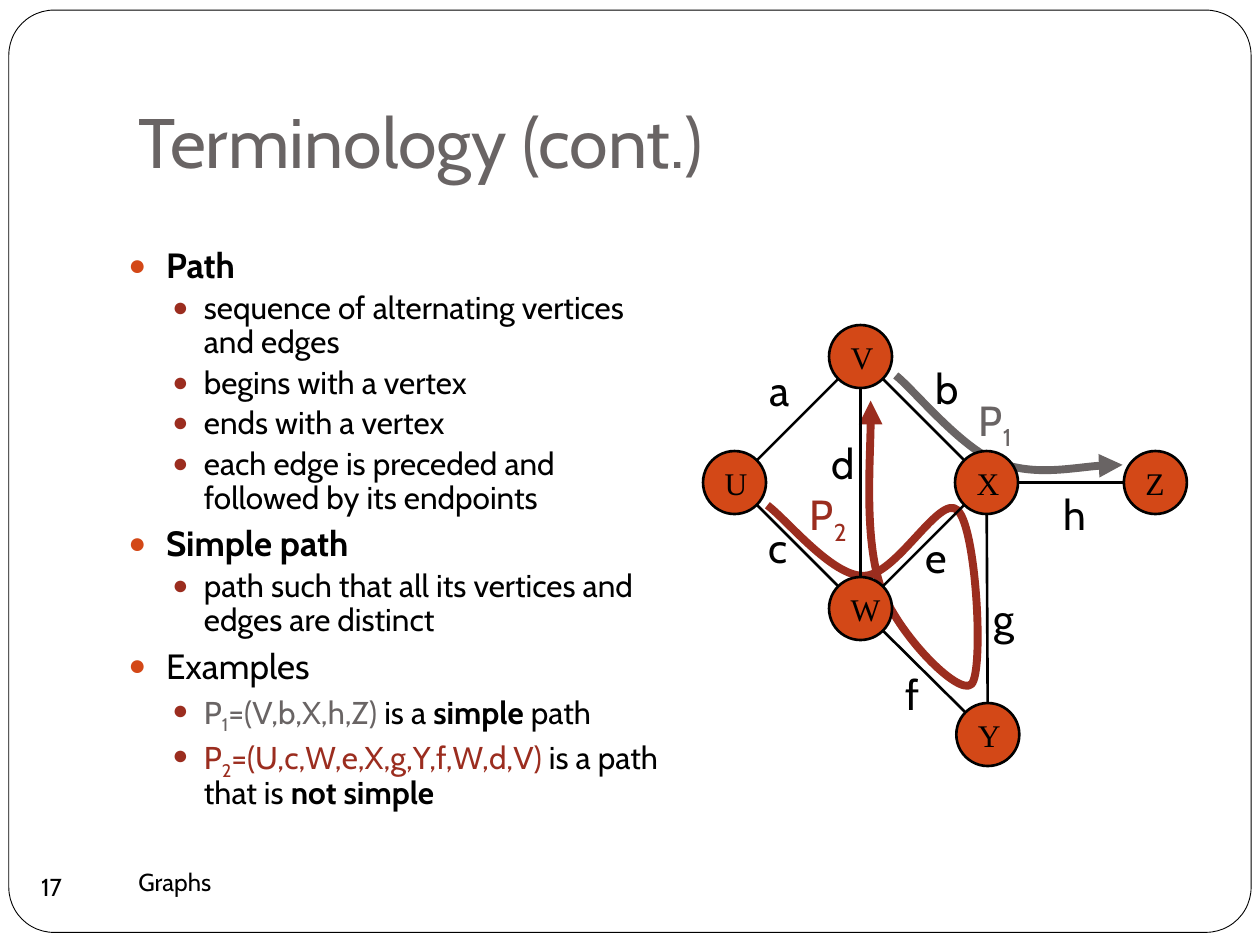
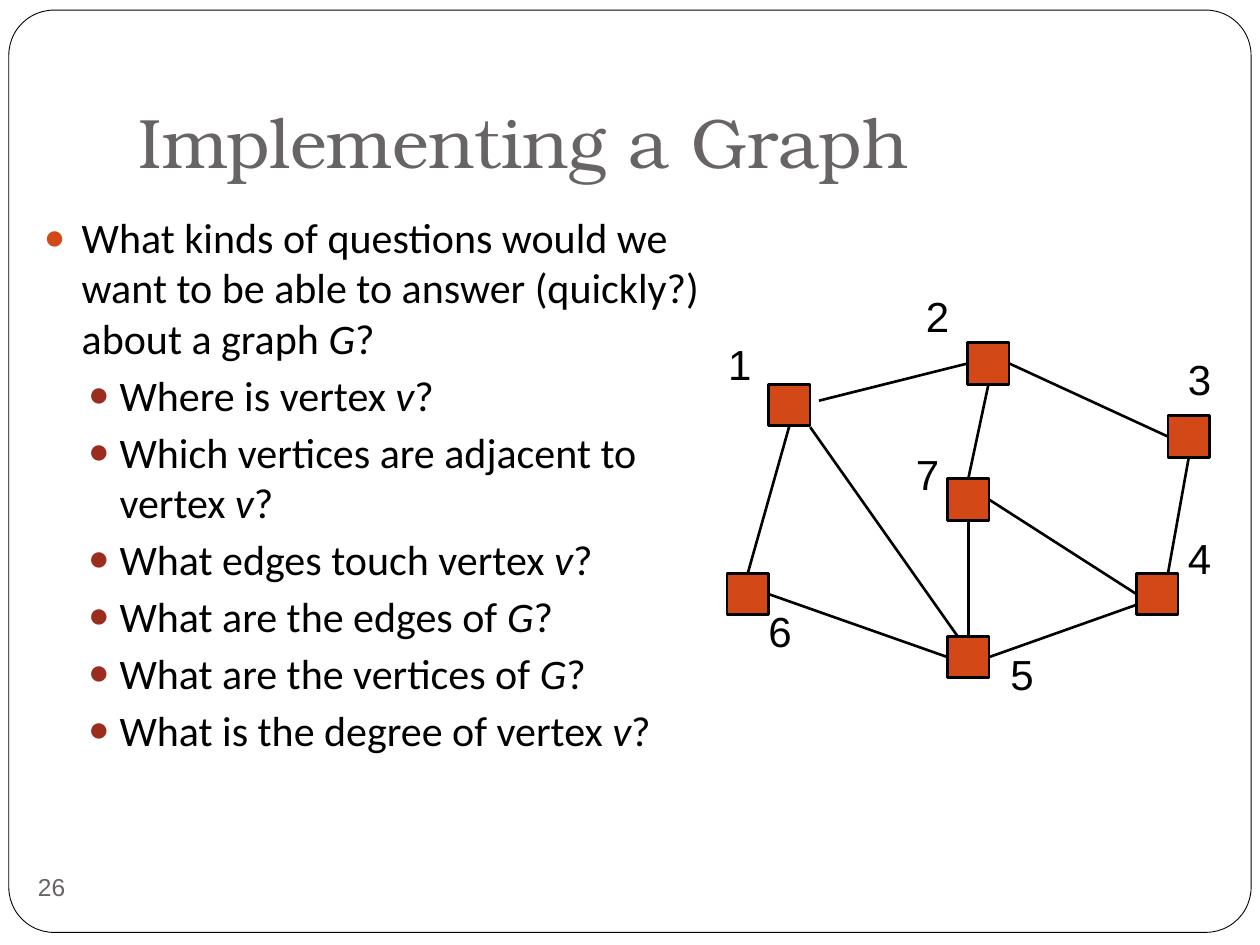
from math import hypot
from typing import NamedTuple, Optional

from lxml import etree
from pptx import Presentation
from pptx.dml.color import RGBColor
from pptx.enum.shapes import MSO_CONNECTOR, MSO_SHAPE
from pptx.enum.text import MSO_ANCHOR, MSO_AUTO_SIZE, PP_ALIGN
from pptx.oxml.ns import qn
from pptx.util import Inches, Pt

BLACK = RGBColor(0x00, 0x00, 0x00)
WHITE = RGBColor(0xFF, 0xFF, 0xFF)
GREY = RGBColor(0x69, 0x64, 0x64)
ORANGE = RGBColor(0xD3, 0x48, 0x17)
RED = RGBColor(0x9B, 0x2D, 0x1F)

OVAL, RECT, ROUND_RECT = MSO_SHAPE.OVAL, MSO_SHAPE.RECTANGLE, MSO_SHAPE.ROUNDED_RECTANGLE
STRAIGHT = MSO_CONNECTOR.STRAIGHT
TOP, MIDDLE, BOTTOM = MSO_ANCHOR.TOP, MSO_ANCHOR.MIDDLE, MSO_ANCHOR.BOTTOM
LEFT, CENTER = PP_ALIGN.LEFT, PP_ALIGN.CENTER
FIT_SHAPE = MSO_AUTO_SIZE.SHAPE_TO_FIT_TEXT
SIDE_TOP, SIDE_LEFT, SIDE_BOTTOM, SIDE_RIGHT = range(4)
RADIUS, SQUARE = 0.25, 0.33


class Run(NamedTuple):
    text: str
    bold: bool = False
    italic: bool = False
    sub: bool = False
    color: RGBColor = BLACK


class Style(NamedTuple):
    font: str
    size: float
    color: Optional[RGBColor] = None


class Level(NamedTuple):
    margin: float
    hanging: float
    before: float
    bullet: RGBColor


class Item(NamedTuple):
    level: int
    runs: list


class Label(NamedTuple):
    runs: list
    x: float
    y: float
    w: float = 0.39


class Curve(NamedTuple):
    color: RGBColor
    arrow: str
    points: list


LEVELS = [Level(0.3, 0.3, 5.8, ORANGE), Level(0.6, 0.25, 3.7, RED)]


# Text
def fill_paragraph(p, runs: list, style: Style) -> None:
    for run in runs:
        r = p.add_run()
        r.text = run.text
        fmt = {"name": style.font, "size": Pt(style.size),
               "bold": run.bold, "italic": run.italic}
        for name, value in fmt.items():
            setattr(r.font, name, value)
        r.font.color.rgb = style.color or run.color
        if run.sub:
            r.font._element.set("baseline", "-25000")


def add_text(s, box: tuple, runs: list, style: Style, anchor=TOP, align=LEFT,
             wrap: bool = True, fit: bool = False, insets=(0.1, 0.05, 0.1, 0.05)):
    tf = s.shapes.add_textbox(*map(Inches, box)).text_frame
    tf.word_wrap, tf.vertical_anchor = wrap, anchor
    if fit:
        tf.auto_size = FIT_SHAPE
    for side, inset in zip(("left", "top", "right", "bottom"), insets):
        setattr(tf, f"margin_{side}", Inches(inset))
    p = tf.paragraphs[0]
    p.alignment = align
    fill_paragraph(p, runs, style)
    return tf


def add_bullet(p, level: Level) -> None:
    pPr = p._p.get_or_add_pPr()
    pPr.set("marL", str(Inches(level.margin)))
    pPr.set("indent", str(-Inches(level.hanging)))
    color = etree.SubElement(pPr, qn("a:buClr"))
    etree.SubElement(color, qn("a:srgbClr"), val=str(level.bullet))
    etree.SubElement(pPr, qn("a:buSzPct"), val="85000")
    etree.SubElement(pPr, qn("a:buFont"), typeface="Arial")
    etree.SubElement(pPr, qn("a:buChar"), char="●")


def add_body(s, box: tuple, items: list, font: str, sizes: tuple, spacing: float) -> None:
    tf = add_text(s, box, [], Style(font, sizes[0]))
    for i, item in enumerate(items):
        p = tf.add_paragraph() if i else tf.paragraphs[0]
        level = LEVELS[item.level]
        p.level = item.level
        add_bullet(p, level)
        p.line_spacing = spacing
        p.space_before = Pt(level.before if i else 0)
        fill_paragraph(p, item.runs, Style(font, sizes[item.level]))


def add_labels(s, labels: list, font: str) -> None:
    for label in labels:
        add_text(s, (label.x, label.y, label.w, 0.5), label.runs, Style(font, 24),
                 wrap=False, fit=True)


# Shapes and lines
def add_shape(s, kind, box: tuple, fill: RGBColor, width: float):
    sp = s.shapes.add_shape(kind, *map(Inches, box))
    sp.shadow.inherit = False
    sp.fill.solid()
    sp.fill.fore_color.rgb = fill
    sp.line.color.rgb = BLACK
    sp.line.width = Pt(width)
    return sp


def add_line(s, start: tuple, end: tuple):
    line = s.shapes.add_connector(STRAIGHT, *map(Inches, start + end))
    line.line.color.rgb = BLACK
    line.line.width = Pt(1.5)
    etree.SubElement(line._element.spPr, qn("a:effectLst"))
    return line


def add_curve(s, curve: Curve) -> None:
    """Draw a chain of cubic curves: a start, then three points for each part."""
    points = [(Inches(x), Inches(y)) for x, y in curve.points]
    builder = s.shapes.build_freeform(*points[0])
    builder.add_line_segments(points[1:], close=False)
    sp = builder.convert_to_shape()
    sp.shadow.inherit = False
    sp.fill.background()
    sp.line.color.rgb = curve.color
    sp.line.width = Pt(4.5)
    etree.SubElement(sp.line._get_or_add_ln(), qn(f"a:{curve.arrow}"), type="triangle")
    segments = list(sp._element.iter(qn("a:lnTo")))
    outline = segments[0].getparent()
    for i in range(0, len(segments), 3):
        cubic = etree.SubElement(outline, qn("a:cubicBezTo"))
        for segment in segments[i:i + 3]:
            cubic.append(segment[0])
            outline.remove(segment)


# Parts shared by the slides
def add_base(prs, title: str, title_font: str, number: str, number_style: Style):
    s = prs.slides.add_slide(prs.slide_layouts[6])
    frame = add_shape(s, ROUND_RECT, (0.07, 0.08, 9.86, 7.32), WHITE, 0.5)
    frame.adjustments[0] = 0.049
    add_text(s, (1, 0.3, 8.5, 1.25), [Run(title)], Style(title_font, 40, GREY),
             BOTTOM, insets=(0.1, 0.05, 0.1, 0.1))
    add_text(s, (0.16, 6.79, 0.5, 0.5), [Run(number)], number_style, MIDDLE, CENTER,
             wrap=False, insets=(0, 0, 0, 0))
    return s


# Terminology slide
PATH_ITEMS = [
    Item(0, [Run("Path", bold=True)]),
    Item(1, [Run("sequence of alternating vertices and edges")]),
    Item(1, [Run("begins with a vertex")]),
    Item(1, [Run("ends with a vertex")]),
    Item(1, [Run("each edge is preceded and followed by its endpoints")]),
    Item(0, [Run("Simple path", bold=True)]),
    Item(1, [Run("path such that all its vertices and edges are distinct")]),
    Item(0, [Run("Examples")]),
    Item(1, [Run("P", color=GREY), Run("1", sub=True, color=GREY),
             Run("=(V,b,X,h,Z)", color=GREY), Run(" is a "),
             Run("simple", bold=True), Run(" path")]),
    Item(1, [Run("P", color=RED), Run("2", sub=True, color=RED),
             Run("=(U,c,W,e,X,g,Y,f,W,d,V)", color=RED),
             Run(" is a path that is "), Run("not simple", bold=True)]),
]
CIRCLES = {"X": (7.83, 3.83), "U": (5.83, 3.83), "V": (6.83, 2.83),
           "W": (6.83, 4.83), "Z": (9.17, 3.83), "Y": (7.84, 5.83)}
CIRCLE_EDGES = ["VU", "WU", "WX", "XZ", "VX", "VW", "WY", "XY"]
CURVES = [
    Curve(RED, "headEnd", [
        (6.91, 3.18), (6.92, 3.42), (6.86, 4.28), (6.99, 4.66), (7.12, 5.03),
        (7.61, 5.53), (7.71, 5.43), (7.81, 5.33), (7.75, 4.19), (7.6, 4.05),
        (7.46, 3.91), (7.11, 4.58), (6.85, 4.57), (6.6, 4.57), (6.25, 4.13), (6.09, 4.01)]),
    Curve(GREY, "tailEnd", [
        (7.11, 2.98), (7.25, 3.09), (7.62, 3.55), (7.92, 3.67),
        (8.22, 3.78), (8.7, 3.68), (8.91, 3.69)]),
]
EDGE_LABELS = [
    Label([Run("a")], 6.01, 2.84, 0.38), Label([Run("c")], 6, 4.09, 0.36),
    Label([Run("b")], 7.33, 2.83), Label([Run("e")], 7.25, 4.17, 0.38),
    Label([Run("d")], 6.5, 3.42), Label([Run("f")], 7.09, 5.26, 0.31),
    Label([Run("g")], 7.79, 4.65), Label([Run("h")], 8.34, 3.83),
    Label([Run("P", color=GREY), Run("1", sub=True, color=GREY)], 7.67, 3.08, 0.51),
    Label([Run("P", color=RED), Run("2", sub=True, color=RED)], 6.33, 3.83, 0.51),
]


def rim_point(center: tuple, toward: tuple) -> tuple:
    dx, dy = toward[0] - center[0], toward[1] - center[1]
    scale = RADIUS / hypot(dx, dy)
    return center[0] + dx * scale, center[1] + dy * scale


def add_terminology(prs) -> None:
    s = add_base(prs, "Terminology (cont.)", "Cabin", "17", Style("Cabin", 14))
    add_text(s, (1, 6.75, 4.33, 0.5), [Run("Graphs")], Style("Cabin", 14), MIDDLE)
    add_body(s, (0.92, 1.92, 4.5, 5.3), PATH_ITEMS, "Cabin", (20, 18), 0.9)
    for curve in CURVES:
        add_curve(s, curve)
    for name, (x, y) in CIRCLES.items():
        box = (x - RADIUS, y - RADIUS, 2 * RADIUS, 2 * RADIUS)
        tf = add_shape(s, OVAL, box, ORANGE, 1.5).text_frame
        tf.word_wrap, tf.vertical_anchor = False, MIDDLE
        tf.paragraphs[0].alignment = LEFT
        fill_paragraph(tf.paragraphs[0], [Run(name)], Style("Times New Roman", 18))
    for a, b in CIRCLE_EDGES:
        start, end = CIRCLES[a], CIRCLES[b]
        add_line(s, rim_point(start, end), rim_point(end, start))
    add_labels(s, EDGE_LABELS, "Cabin")


# Implementation slide
QUESTIONS = [
    (0, "What kinds of questions would we want to be able to answer (quickly?) about a graph ", "G"),
    (1, "Where is vertex ", "v"),
    (1, "Which vertices are adjacent to vertex ", "v"),
    (1, "What edges touch vertex ", "v"),
    (1, "What are the edges of ", "G"),
    (1, "What are the vertices of ", "G"),
    (1, "What is the degree of vertex ", "v"),
]
SQUARES = {"1": (6.1, 3.05), "6": (5.77, 4.55), "5": (7.52, 5.05), "4": (9.02, 4.55),
           "7": (7.52, 3.8), "2": (7.68, 2.72), "3": (9.27, 3.3)}
# An edge end is a square with its side, or a free point
SQUARE_EDGES = [
    ((6.5, 3.18), ("2", SIDE_LEFT)),
    (("2", SIDE_BOTTOM), ("7", SIDE_TOP)),
    (("2", SIDE_RIGHT), ("3", SIDE_LEFT)),
    (("7", SIDE_RIGHT), ("4", SIDE_LEFT)),
    (("3", SIDE_BOTTOM), (9.27, 4.55)),
    (("7", SIDE_BOTTOM), ("5", SIDE_TOP)),
    (("5", SIDE_RIGHT), (9.02, 4.8)),
    (("6", SIDE_RIGHT), ("5", SIDE_LEFT)),
    (("1", SIDE_BOTTOM), ("6", SIDE_TOP)),
    ((6.43, 3.39), (7.6, 5.05)),
]
SQUARE_LABELS = [Label([Run(str(n))], x, y) for n, (x, y) in enumerate([
    (5.68, 2.64), (7.25, 2.26), (9.33, 2.76), (9.33, 4.18),
    (7.92, 5.1), (6, 4.76), (7.17, 3.51)], start=1)]


def add_implementation(prs) -> None:
    s = add_base(prs, "Implementing a Graph", "TeX Gyre Bonum", "26", Style("Arial", 14, GREY))
    items = [Item(level, [Run(text), Run(symbol, italic=True), Run("?")])
             for level, text, symbol in QUESTIONS]
    add_body(s, (0.25, 1.63, 5.52, 5.4), items, "Calibri", (24, 24), 1.0)
    squares = {name: add_shape(s, RECT, (x, y, SQUARE, SQUARE), ORANGE, 1.5)
               for name, (x, y) in SQUARES.items()}
    for start, end in SQUARE_EDGES:
        points = [SQUARES[e[0]] if e[0] in squares else e for e in (start, end)]
        line = add_line(s, *points)
        for e, connect in ((start, line.begin_connect), (end, line.end_connect)):
            if e[0] in squares:
                connect(squares[e[0]], e[1])
    add_labels(s, SQUARE_LABELS, "Arial")


def main() -> None:
    prs = Presentation()
    prs.slide_width, prs.slide_height = Inches(10), Inches(7.5)
    add_terminology(prs)
    add_implementation(prs)
    prs.save("out.pptx")


if __name__ == "__main__":
    main()
